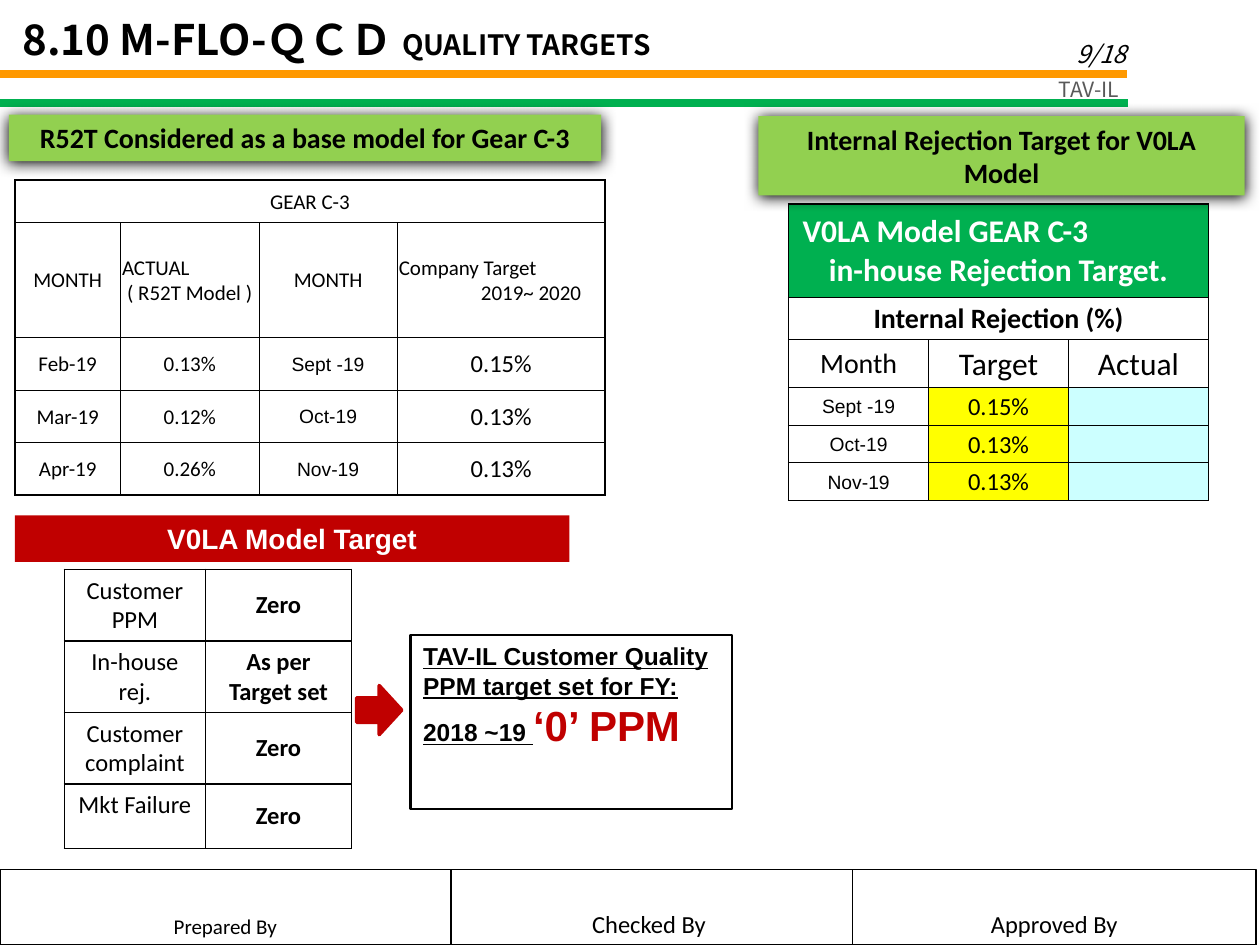
from itertools import product

from lxml.etree import SubElement
from pptx import Presentation
from pptx.dml.color import RGBColor
from pptx.enum.shapes import MSO_CONNECTOR, MSO_SHAPE
from pptx.enum.text import MSO_ANCHOR, MSO_AUTO_SIZE, PP_ALIGN
from pptx.oxml import parse_xml
from pptx.oxml.ns import nsdecls, qn
from pptx.util import Cm, Pt

COLORS = {
    "black": "000000", "white": "FFFFFF", "grey": "595959", "orange": "FF9900",
    "green": "00B050", "lime": "92D050", "red": "C00000",
    "yellow": "FFFF00", "aqua": "CCFFFF",
}
HEAD_FONT = "Noto Sans CJK JP"
COMPANY, BASE_MODEL, NEW_MODEL = "TAV-IL", "R52T", "V0LA"
LEFT, CENTER, RIGHT = PP_ALIGN.LEFT, PP_ALIGN.CENTER, PP_ALIGN.RIGHT
TOP, MIDDLE, BOTTOM = MSO_ANCHOR.TOP, MSO_ANCHOR.MIDDLE, MSO_ANCHOR.BOTTOM


def rgb(name):
    return RGBColor.from_string(COLORS[name])


def write(tf, text, size=12, font="Calibri", color="black", bold=False, italic=False,
          underline=False, align=CENTER, indent=0, same_line=False):
    """Add a paragraph, or with same_line a further run of the last one."""
    p = tf.paragraphs[-1]
    if p.runs and not same_line:
        p = tf.add_paragraph()
    p.alignment = align
    if indent:
        p._p.get_or_add_pPr().set("marL", str(Cm(indent)))
    if not text:
        SubElement(p._p, qn("a:endParaRPr")).set("sz", str(size * 100))
        return
    r = p.add_run()
    r.text = text
    f = r.font
    f.size, f.name, f.bold, f.italic, f.underline = Pt(size), font, bold, italic, underline
    f.color.rgb = rgb(color)
    SubElement(r._r.get_or_add_rPr(), qn("a:ea")).set("typeface", font)


def add_label(s, box, text, anchor=TOP, **fmt):
    sp = s.shapes.add_textbox(*map(Cm, box))
    tf = sp.text_frame
    tf.word_wrap, tf.vertical_anchor = True, anchor
    write(tf, text, **fmt)


def add_box(shapes, box, fill=None, line=None, width=1, kind=MSO_SHAPE.RECTANGLE,
            anchor=TOP):
    sp = shapes.add_shape(kind, *map(Cm, box))
    sp.shadow.inherit = False
    if fill:
        sp.fill.solid()
        sp.fill.fore_color.rgb = rgb(fill)
    else:
        sp.fill.background()
    if line:
        sp.line.color.rgb = rgb(line)
        sp.line.width = Pt(width)
    else:
        sp.line.fill.background()
    sp.text_frame.word_wrap, sp.text_frame.vertical_anchor = True, anchor
    return sp


def add_banner(s, box, text, fill="lime", shadow=True, **fmt):
    sp = add_box(s.shapes, box, fill)
    write(sp.text_frame, text, size=16, bold=True, **fmt)
    if shadow:
        effects = sp._element.spPr.find(qn("a:effectLst"))
        effects.append(parse_xml(
            f'<a:outerShdw {nsdecls("a")} blurRad="{Pt(8.5)}" dist="{Pt(1)}" dir="5400000" '
            f'rotWithShape="0"><a:srgbClr val="{COLORS["black"]}"/></a:outerShdw>'))


def add_rule(s, y, x2, color):
    line = s.shapes.add_connector(MSO_CONNECTOR.STRAIGHT, 0, Cm(y), Cm(x2), Cm(y))
    line.line.color.rgb = rgb(color)
    line.line.width = Pt(4.5)
    SubElement(line._element.spPr, qn("a:effectLst"))


def add_grid(s, x, y, cols, rows, full_rows=0, inner=0.5, outer=1):
    """Ruled, unfilled table; its first full_rows rows span all columns."""
    frame = s.shapes.add_table(len(rows), len(cols), Cm(x), Cm(y),
                               Cm(sum(cols)), Cm(sum(rows)))
    table = frame.table
    table.first_row = table.horz_banding = False
    for col, width in zip(table.columns, cols):
        col.width = Cm(width)
    for row, height in zip(table.rows, rows):
        row.height = Cm(height)
    for i in range(full_rows):
        table.cell(i, 0).merge(table.cell(i, len(cols) - 1))
    for i, j in product(range(len(rows)), range(len(cols))):
        cell = table.cell(i, j)
        at_edge = {"lnL": j == 0, "lnR": j == len(cols) - 1 or i < full_rows,
                   "lnT": i == 0, "lnB": i == len(rows) - 1}
        tcPr = cell._tc.get_or_add_tcPr()
        for side, edge in at_edge.items():
            tcPr.append(parse_xml(
                f'<a:{side} {nsdecls("a")} w="{Pt(outer if edge else inner)}"><a:solidFill>'
                f'<a:srgbClr val="{COLORS["black"]}"/></a:solidFill></a:{side}>'))
        cell.fill.background()
    return table


def fill_cell(cell, text, fill=None, anchor=MIDDLE, tight=True, **fmt):
    cell.vertical_anchor = anchor
    if tight:
        cell.margin_left = cell.margin_right = cell.margin_top = Cm(0.03)
        cell.margin_bottom = 0
    if fill:
        cell.fill.solid()
        cell.fill.fore_color.rgb = rgb(fill)
    write(cell.text_frame, text, **fmt)


def header(s):
    title = s.shapes.title
    title.left, title.top, title.width, title.height = map(Cm, (0.2, 0.15, 22.56, 1.27))
    tf = title.text_frame
    tf.auto_size, tf.vertical_anchor = MSO_AUTO_SIZE.NONE, MIDDLE
    style = dict(font=HEAD_FONT, bold=True, align=LEFT)
    write(tf, "8.10 M-FLO-ＱＣＤ ", size=24, **style)
    write(tf, "QUALITY TARGETS", size=16, same_line=True, **style)
    add_label(s, (17.68, 0.23, 5.28, 1.27), "9/18", anchor=BOTTOM, size=14,
              font=HEAD_FONT, italic=True, align=RIGHT)
    add_rule(s, 1.5, 22.71, "orange")
    add_rule(s, 2.08, 22.73, "green")
    add_label(s, (19, 1.42, 3.81, 0.76), COMPANY, font=HEAD_FONT, color="grey",
              align=RIGHT)


def base_model(s, x, y):
    table = add_grid(s, x, y + 1.32, [2.13, 2.79, 2.79, 4.19],
                     [0.86, 2.31, 1.06, 1.06, 1.06], full_rows=1)
    fill_cell(table.cell(0, 0), "GEAR C-3")
    heads = [("MONTH", CENTER), ("ACTUAL", LEFT), ("MONTH", CENTER), ("Company Target", LEFT)]
    for j, (text, align) in enumerate(heads):
        fill_cell(table.cell(1, j), text, align=align)
    write(table.cell(1, 1).text_frame, f"( {BASE_MODEL} Model )")
    write(table.cell(1, 3).text_frame, "2019~ 2020", indent=1.2)
    styles = [{}, {}, dict(size=11, font="Arial"), dict(size=14)]
    data = [("Feb-19", "0.13%", "Sept -19", "0.15%"),
            ("Mar-19", "0.12%", "Oct-19", "0.13%"),
            ("Apr-19", "0.26%", "Nov-19", "0.13%")]
    for i, values in enumerate(data, 2):
        for j, (text, style) in enumerate(zip(values, styles)):
            fill_cell(table.cell(i, j), text, **style)
    add_banner(s, (x - 0.12, y, 11.94, 0.94),
               f"{BASE_MODEL} Considered as a base model for Gear C-3")


def rejection_target(s, x, y):
    table = add_grid(s, x + 0.61, y + 1.77, [2.82] * 3,
                     [1.88, 0.86, 0.96] + [0.76] * 3, full_rows=2)
    head = dict(size=18, color="white", bold=True)
    fill_cell(table.cell(0, 0), f"{NEW_MODEL} Model GEAR C-3", fill="green", align=LEFT,
              indent=0.25, **head)
    write(table.cell(0, 0).text_frame, "in-house Rejection Target.", **head)
    fill_cell(table.cell(1, 0), "Internal Rejection (%)", size=16, bold=True)
    for j, (text, size) in enumerate([("Month", 16), ("Target", 18), ("Actual", 18)]):
        fill_cell(table.cell(2, j), text, size=size)
    targets = [("Sept -19", "0.15%"), ("Oct-19", "0.13%"), ("Nov-19", "0.13%")]
    for i, (month, target) in enumerate(targets, 3):
        fill_cell(table.cell(i, 0), month, size=11, font="Arial")
        fill_cell(table.cell(i, 1), target, fill="yellow", size=14)
        fill_cell(table.cell(i, 2), "", fill="aqua", size=14)
    add_banner(s, (x, y, 9.8, 1.6), f"Internal Rejection Target for {NEW_MODEL} Model")


def model_target(s, x, y):
    add_banner(s, (x, y, 11.18, 0.94), f"{NEW_MODEL} Model Target", fill="red",
               shadow=False, font="Arial", color="white")
    goals = [("Customer PPM", "Zero"), ("In-house rej.", "As per Target set"),
             ("Customer complaint", "Zero"), ("Mkt Failure", "Zero")]
    table = add_grid(s, x + 1, y + 1.09, [2.84, 2.95], [1.44, 1.44, 1.44, 1.3], inner=1)
    for i, (name, goal) in enumerate(goals):
        fill_cell(table.cell(i, 0), name, anchor=TOP, tight=False, size=14)
        fill_cell(table.cell(i, 1), goal, tight=False, size=14, bold=True)
    # Arrow to the PPM statement
    add_box(s.shapes, (x + 6.89, y + 3.43, 0.91, 0.99), "red", "red", 2,
            MSO_SHAPE.RIGHT_ARROW)
    tf = add_box(s.shapes, (x + 7.98, y + 2.41, 6.48, 3.51), line="black",
                 width=1.5).text_frame
    style = dict(font="Arial", bold=True, align=LEFT)
    write(tf, f"{COMPANY} Customer Quality PPM target set for FY: 2018 ~19 ", size=14,
          underline=True, **style)
    write(tf, "‘0’ PPM", size=24, color="red", same_line=True, **style)


def sign_off(s, x, y, height):
    group = s.shapes.add_group_shape()
    for text, width, size in [("Prepared By", 9.09, 12), ("Checked By ", 8.1, 14),
                              ("Approved By", 8.13, 14)]:
        sp = add_box(group.shapes, (x, y, width, height), line="black", width=0.75,
                     anchor=BOTTOM)
        write(sp.text_frame, text, size=size)
        x += width


def main():
    prs = Presentation()
    prs.slide_width, prs.slide_height = Cm(25.4), Cm(19.05)
    s = prs.slides.add_slide(prs.slide_layouts[5])
    header(s)
    base_model(s, 0.3, 2.31)
    rejection_target(s, 15.29, 2.34)
    model_target(s, 0.3, 10.39)
    sign_off(s, 0, 17.53, 1.52)
    prs.save("out.pptx")


if __name__ == "__main__":
    main()
